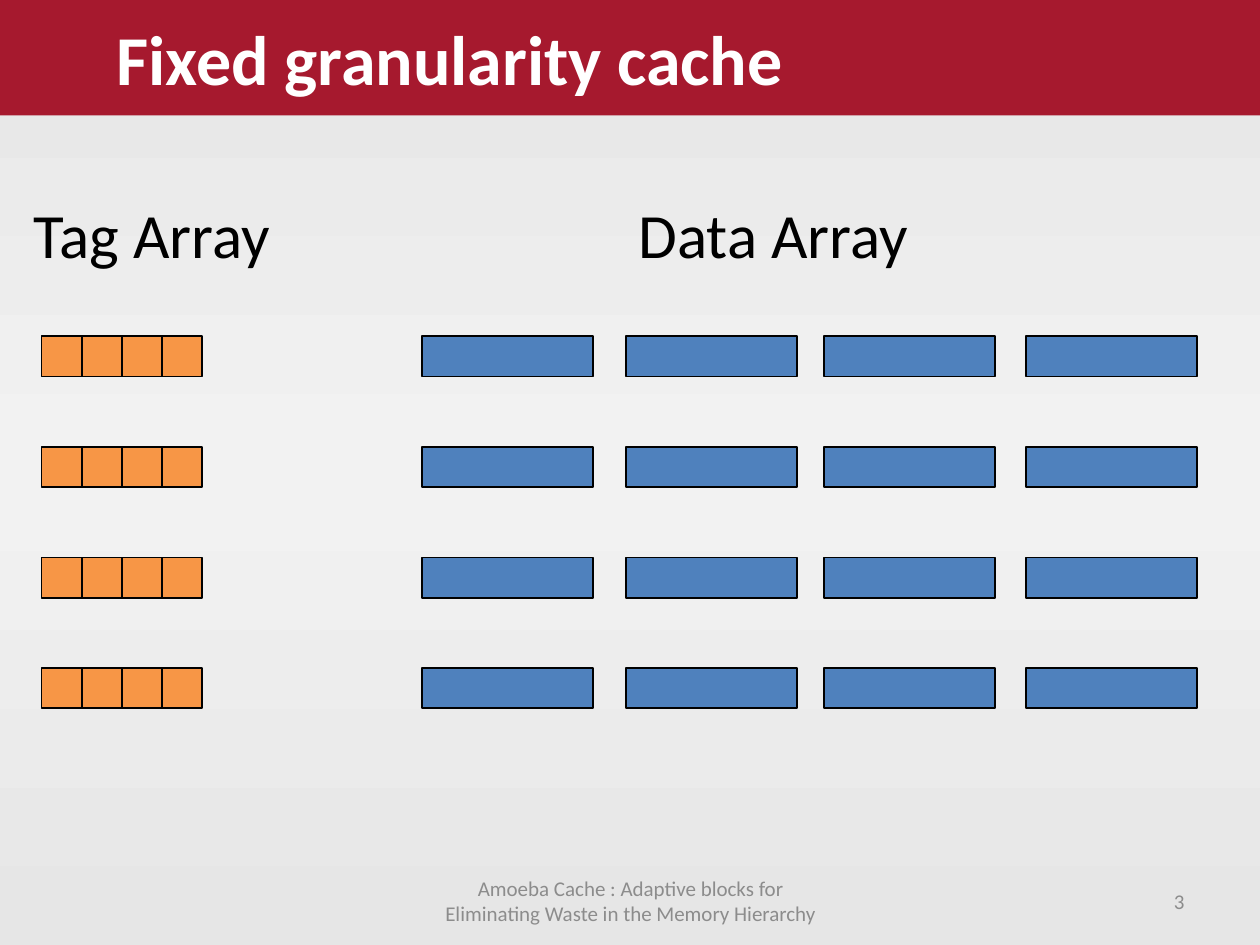
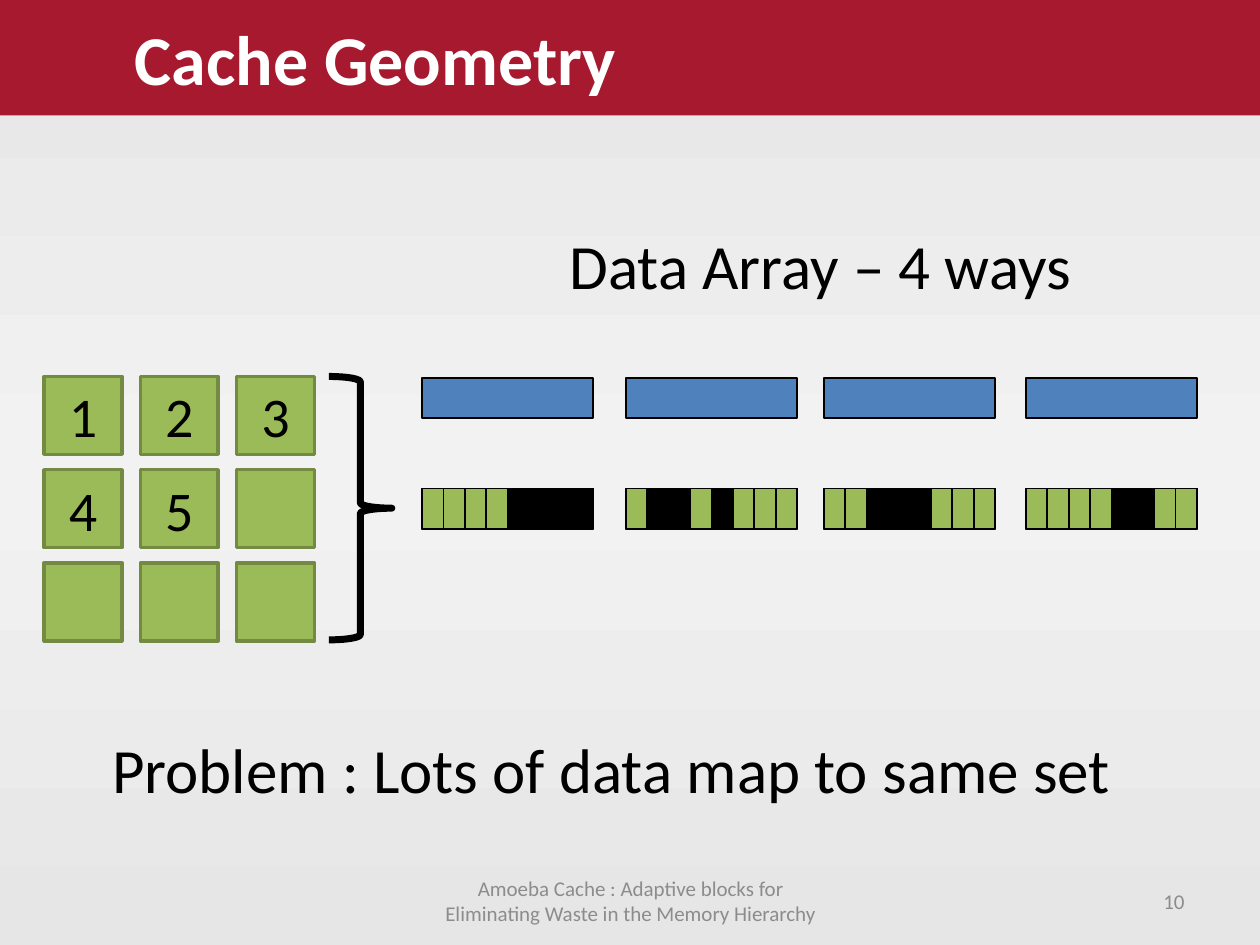
import copy

import pptx
import pptx.dml.color
import pptx.enum.shapes
import pptx.enum.text
import pptx.oxml.ns
import pptx.util
from pptx.util import Cm

COLORS = {
    "band": "A6192E",
    "edge": "E6E6E6",
    "middle": "F2F2F2",
    "data": "4F81BD",
    "tag": "F79646",
    "used": "9BBB59",
    "used_line": "738A42",
    "black": "000000",
    "white": "FFFFFF",
    "footer": "8C8C8C",
}
FONT = "Calibri"
FOOTER = "Amoeba Cache : Adaptive blocks for Eliminating Waste in the Memory Hierarchy"
SHAPES = pptx.enum.shapes.MSO_SHAPE
ALIGN = pptx.enum.text.PP_ALIGN
MIDDLE = pptx.enum.text.MSO_ANCHOR.MIDDLE

WAY_LEFTS = (8.51, 12.62, 16.61, 20.68)
WAY_WIDTH = 3.45
ROW_HEIGHT = 0.81
ROW_PITCH = 2.23
WORDS_PER_WAY = 8


def color(name):
    """Return the named colour as an RGB value."""
    return pptx.dml.color.RGBColor.from_string(COLORS[name])


def write(shape, text, size, color_name="black", align=ALIGN.LEFT, bold=False):
    """Put one styled paragraph into a shape."""
    paragraph = shape.text_frame.paragraphs[0]
    paragraph.text = text
    paragraph.alignment = align
    paragraph.font.name = FONT
    paragraph.font.size = pptx.util.Pt(size)
    paragraph.font.bold = bold
    paragraph.font.color.rgb = color(color_name)


def add_box(shapes, left, top, width, height, fill, line="black", weight=1):
    """Add a flat rectangle, without an outline if line is None."""
    box = shapes.add_shape(SHAPES.RECTANGLE, Cm(left), Cm(top), Cm(width), Cm(height))
    box.shadow.inherit = False
    box.fill.solid()
    box.fill.fore_color.rgb = color(fill)
    if line:
        box.line.color.rgb = color(line)
        box.line.width = pptx.util.Pt(weight)
    else:
        box.line.fill.background()
    return box


def add_heading(slide, text, left, top, width):
    """Add a large one-line label."""
    heading = slide.shapes.add_textbox(Cm(left), Cm(top), Cm(width), Cm(1.8))
    heading.text_frame.word_wrap = False
    write(heading, text, 36)


def add_footer(slide, text, left, width, align):
    """Add one text of the footer row."""
    footer = slide.shapes.add_textbox(Cm(left), Cm(17.65), Cm(width), Cm(1.02))
    footer.text_frame.word_wrap = True
    footer.text_frame.vertical_anchor = MIDDLE
    write(footer, text, 12, "footer", align)


def set_background(slide):
    """Shade the slide from grey through light grey back to grey."""
    fill = slide.background.fill
    fill.gradient()
    fill.gradient_angle = 90
    stop_list = slide.element.find(".//" + pptx.oxml.ns.qn("a:gsLst"))
    stop_list.append(copy.deepcopy(stop_list[0]))
    for index, name in enumerate(("edge", "middle", "edge")):
        stop = fill.gradient_stops[index]
        stop.position = index / 2
        stop.color.rgb = color(name)


def add_base_slide(presentation, title, title_indent, number):
    """Add a slide with its background, title band and footer."""
    slide = presentation.slides.add_slide(presentation.slide_layouts[6])
    set_background(slide)
    band = add_box(slide.shapes, 0, 0, 25.4, 2.33, "band", None)
    band.text_frame.margin_left = Cm(title_indent)
    band.text_frame.vertical_anchor = MIDDLE
    write(band, title, 40, "white", bold=True)
    add_footer(slide, FOOTER, 8.69, 8.05, ALIGN.CENTER)
    add_footer(slide, str(number), 18.21, 5.92, ALIGN.RIGHT)
    return slide


def add_data_array(slide, top, rows):
    """Add the data blocks of all ways, one row for each set."""
    group = slide.shapes.add_group_shape()
    for row in range(rows):
        for left in WAY_LEFTS:
            add_box(group.shapes, left, top + row * ROW_PITCH, WAY_WIDTH, ROW_HEIGHT, "data")


def add_tag_array(slide, left, top, rows):
    """Add the tags, one touching row of squares for each set."""
    group = slide.shapes.add_group_shape()
    for row in range(rows):
        for column in range(len(WAY_LEFTS)):
            add_box(group.shapes, left + column * ROW_HEIGHT, top + row * ROW_PITCH,
                    ROW_HEIGHT, ROW_HEIGHT, "tag")


def add_words(slide, left, top, pattern):
    """Split a block into words: U for used, any other letter for unused."""
    group = slide.shapes.add_group_shape()
    width = WAY_WIDTH / WORDS_PER_WAY
    for index, letter in enumerate(pattern):
        fill = "used" if letter == "U" else "black"
        add_box(group.shapes, left + index * width, top, width, ROW_HEIGHT, fill)


def add_regions(slide, left, top, labels):
    """Add a three-column grid of labelled memory regions."""
    for index, label in enumerate(labels):
        row, column = divmod(index, 3)
        region = add_box(slide.shapes, left + column * 1.94, top + row * 1.88,
                         1.57, 1.57, "used", "used_line", 2)
        if label:
            frame = region.text_frame
            frame.margin_left = frame.margin_right = 0
            frame.margin_top = frame.margin_bottom = 0
            frame.vertical_anchor = MIDDLE
            write(region, label, 32, align=ALIGN.CENTER)


def add_brace(slide, left, top, width, height):
    """Add a thick brace that points to the right."""
    brace = slide.shapes.add_shape(
        SHAPES.RIGHT_BRACE, Cm(left), Cm(top), Cm(width), Cm(height))
    brace.shadow.inherit = False
    brace.fill.background()
    brace.line.color.rgb = color("black")
    brace.line.width = pptx.util.Pt(4)


def build_fixed_granularity(presentation):
    """Build the slide that pairs the tag array with the data array."""
    slide = add_base_slide(presentation, "Fixed granularity cache", 2.35, 3)
    add_heading(slide, "Tag Array", 0.43, 3.81, 5.33)
    add_heading(slide, "Data Array", 12.62, 3.81, 5.99)
    add_data_array(slide, 6.78, 4)
    add_tag_array(slide, 0.84, 6.78, 4)


def build_cache_geometry(presentation):
    """Build the slide that maps many regions to one set."""
    slide = add_base_slide(presentation, "Cache Geometry", 2.72, 10)
    add_heading(slide, "Data Array – 4 ways", 11.23, 4.45, 10.72)
    add_data_array(slide, 7.62, 2)
    patterns = ("UUUU----", "U--U-UUU", "UU---UUU", "UUUU--UU")
    for left, pattern in zip(WAY_LEFTS, patterns):
        add_words(slide, left, 7.62 + ROW_PITCH, pattern)
    add_regions(slide, 0.89, 7.59, ("1", "2", "3", "4", "5", "", "", "", ""))
    add_brace(slide, 6.63, 7.59, 1.27, 5.31)
    add_heading(slide, "Problem : Lots of data map to same set", 2.01, 14.6, 20.83)


def main():
    """Build and save the presentation."""
    presentation = pptx.Presentation()
    presentation.slide_width = Cm(25.4)
    presentation.slide_height = Cm(19.05)
    build_fixed_granularity(presentation)
    build_cache_geometry(presentation)
    presentation.save("out.pptx")


if __name__ == "__main__":
    main()
